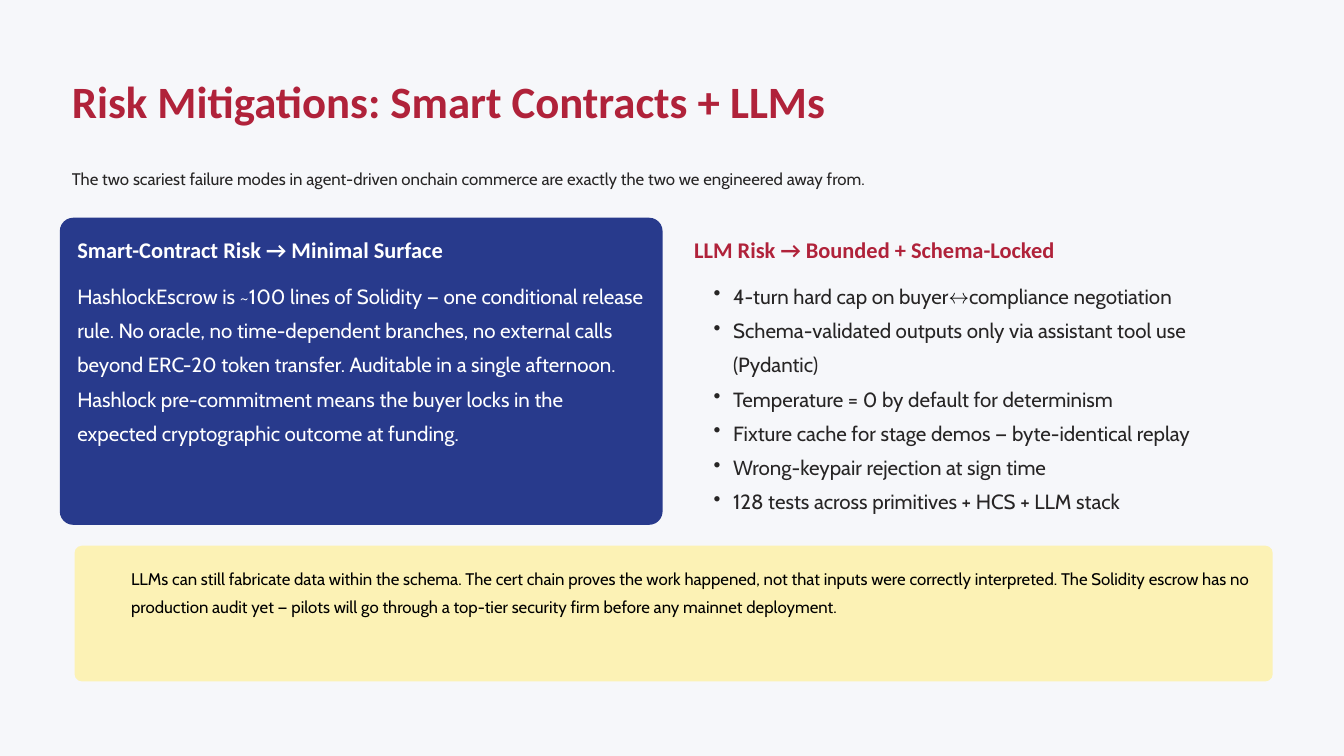
"""Build the slide on risk mitigations for smart contracts and language models."""
from dataclasses import dataclass

from lxml import etree
from pptx import Presentation
from pptx import util as u
from pptx.dml.color import RGBColor
from pptx.enum import shapes, text
from pptx.oxml import ns

WIDTH, HEIGHT = u.Inches(20), u.Inches(11.25)
COLUMN, ROW = WIDTH / 20, HEIGHT / 11.25

PAPER = RGBColor(0xF6, 0xF7, 0xFA)
CRIMSON = RGBColor(0xB0, 0x22, 0x3A)
INK = RGBColor(0x27, 0x25, 0x25)
NAVY = RGBColor(0x28, 0x3A, 0x8C)
CREAM = RGBColor(0xFC, 0xF2, 0xB5)
WHITE = RGBColor(0xFF, 0xFF, 0xFF)
BLACK = RGBColor(0x00, 0x00, 0x00)

ARROW = "↔"
MARGIN, LEFT_TEXT, RIGHT_TEXT = 1.07, 1.15, 10.33
HEADING_ROW, BODY_ROW = 3.49, 4.08


@dataclass(frozen=True)
class Area:
    """A block of the grid, in columns and rows."""
    column: float
    row: float
    columns: float
    rows: float

    def lengths(self) -> tuple[int, int, int, int]:
        """Return left, top, width and height in EMU."""
        return (round(self.column * COLUMN), round(self.row * ROW),
                round(self.columns * COLUMN), round(self.rows * ROW))


@dataclass(frozen=True)
class Style:
    """The look of a passage."""
    font: str
    size: float
    leading: float
    color: RGBColor
    bold: bool = False
    bulleted: bool = False


@dataclass(frozen=True)
class Passage:
    """Lines of text in one area."""
    area: Area
    style: Style
    lines: tuple[str, ...]


@dataclass(frozen=True)
class Panel:
    """A rounded block of colour."""
    area: Area
    color: RGBColor
    radius: float


TITLE = Style("Calibri", 48, 60, CRIMSON, bold=True)
LEAD = Style("Cabin", 18, 30, INK)
NAVY_HEADING = Style("Calibri", 24, 30, WHITE, bold=True)
NAVY_BODY = Style("Cabin", 22, 36.7, WHITE)
PLAIN_HEADING = Style("Calibri", 24, 30, CRIMSON, bold=True)
BULLETS = Style("Cabin", 22, 36.7, INK, bulleted=True)
CAVEAT = Style("Cabin", 18, 30, BLACK)

PANELS = (
    Panel(Area(0.89, 3.24, 8.97, 4.57), NAVY, 0.2),
    Panel(Area(1.11, 8.12, 17.83, 2.02), CREAM, 0.11),
)

PASSAGES = (
    Passage(Area(MARGIN, 1.07, 13.29, 0.9), TITLE,
            ("Risk Mitigations: Smart Contracts + LLMs",)),
    Passage(Area(MARGIN, 2.39, 13.1, 0.53), LEAD,
            ("The two scariest failure modes in agent-driven onchain commerce "
             "are exactly the two we engineered away from.",)),
    Passage(Area(LEFT_TEXT, HEADING_ROW, 7.85, 0.41), NAVY_HEADING,
            ("Smart-Contract Risk → Minimal Surface",)),
    Passage(Area(LEFT_TEXT, BODY_ROW, 8.46, 2.97), NAVY_BODY,
            ("HashlockEscrow is ~100 lines of Solidity — one conditional release "
             "rule. No oracle, no time-dependent branches, no external calls "
             "beyond ERC-20 token transfer. Auditable in a single afternoon. "
             "Hashlock pre-commitment means the buyer locks in the expected "
             "cryptographic outcome at funding.",)),
    Passage(Area(RIGHT_TEXT, HEADING_ROW, 7.3, 0.41), PLAIN_HEADING,
            ("LLM Risk → Bounded + Schema-Locked",)),
    Passage(Area(RIGHT_TEXT, BODY_ROW, 8.61, 3.47), BULLETS,
            ("4-turn hard cap on buyer↔compliance negotiation",
             "Schema-validated outputs only via assistant tool use (Pydantic)",
             "Temperature = 0 by default for determinism",
             "Fixture cache for stage demos — byte-identical replay",
             "Wrong-keypair rejection at sign time",
             "128 tests across primitives + HCS + LLM stack")),
    Passage(Area(1.95, 8.35, 16.71, 0.81), CAVEAT,
            ("LLMs can still fabricate data within the schema. The cert chain "
             "proves the work happened, not that inputs were correctly "
             "interpreted. The Solidity escrow has no production audit yet — "
             "pilots will go through a top-tier security firm before any "
             "mainnet deployment.",)),
)


def draw_panel(slide, panel: Panel) -> None:
    """Draw one rounded block."""
    block = slide.shapes.add_shape(
        shapes.MSO_SHAPE.ROUNDED_RECTANGLE, *panel.area.lengths())
    block.adjustments[0] = panel.radius / min(panel.area.columns, panel.area.rows)
    block.shadow.inherit = False
    block.fill.solid()
    block.fill.fore_color.rgb = panel.color
    block.line.fill.background()


def add_bullet(paragraph) -> None:
    """Give a paragraph a hanging bullet."""
    properties = paragraph._p.get_or_add_pPr()
    properties.set("marL", str(u.Inches(0.58)))
    properties.set("indent", str(-u.Inches(0.29)))
    etree.SubElement(properties, ns.qn("a:buChar")).set("char", "•")


def write_line(paragraph, line: str, style: Style) -> None:
    """Write one paragraph, with any two-way arrow in black."""
    if style.bulleted:
        add_bullet(paragraph)
    paragraph.line_spacing = u.Pt(style.leading)
    for part in filter(None, line.partition(ARROW)):
        run = paragraph.add_run()
        run.text = part
        run.font.name = style.font
        run.font.size = u.Pt(style.size)
        run.font.bold = style.bold
        run.font.color.rgb = BLACK if part == ARROW else style.color


def write_passage(slide, passage: Passage) -> None:
    """Place a text box and write its lines."""
    frame = slide.shapes.add_textbox(*passage.area.lengths()).text_frame
    frame.word_wrap = True
    frame.auto_size = text.MSO_AUTO_SIZE.SHAPE_TO_FIT_TEXT
    frame.margin_left = frame.margin_right = 0
    frame.margin_top = frame.margin_bottom = 0
    for index, line in enumerate(passage.lines):
        paragraph = frame.add_paragraph() if index else frame.paragraphs[0]
        write_line(paragraph, line, passage.style)


def main() -> None:
    """Build and save the slide."""
    deck = Presentation()
    deck.slide_width, deck.slide_height = WIDTH, HEIGHT
    slide = deck.slides.add_slide(deck.slide_layouts[6])
    slide.background.fill.solid()
    slide.background.fill.fore_color.rgb = PAPER
    for panel in PANELS:
        draw_panel(slide, panel)
    for passage in PASSAGES:
        write_passage(slide, passage)
    deck.save("out.pptx")


if __name__ == "__main__":
    main()
